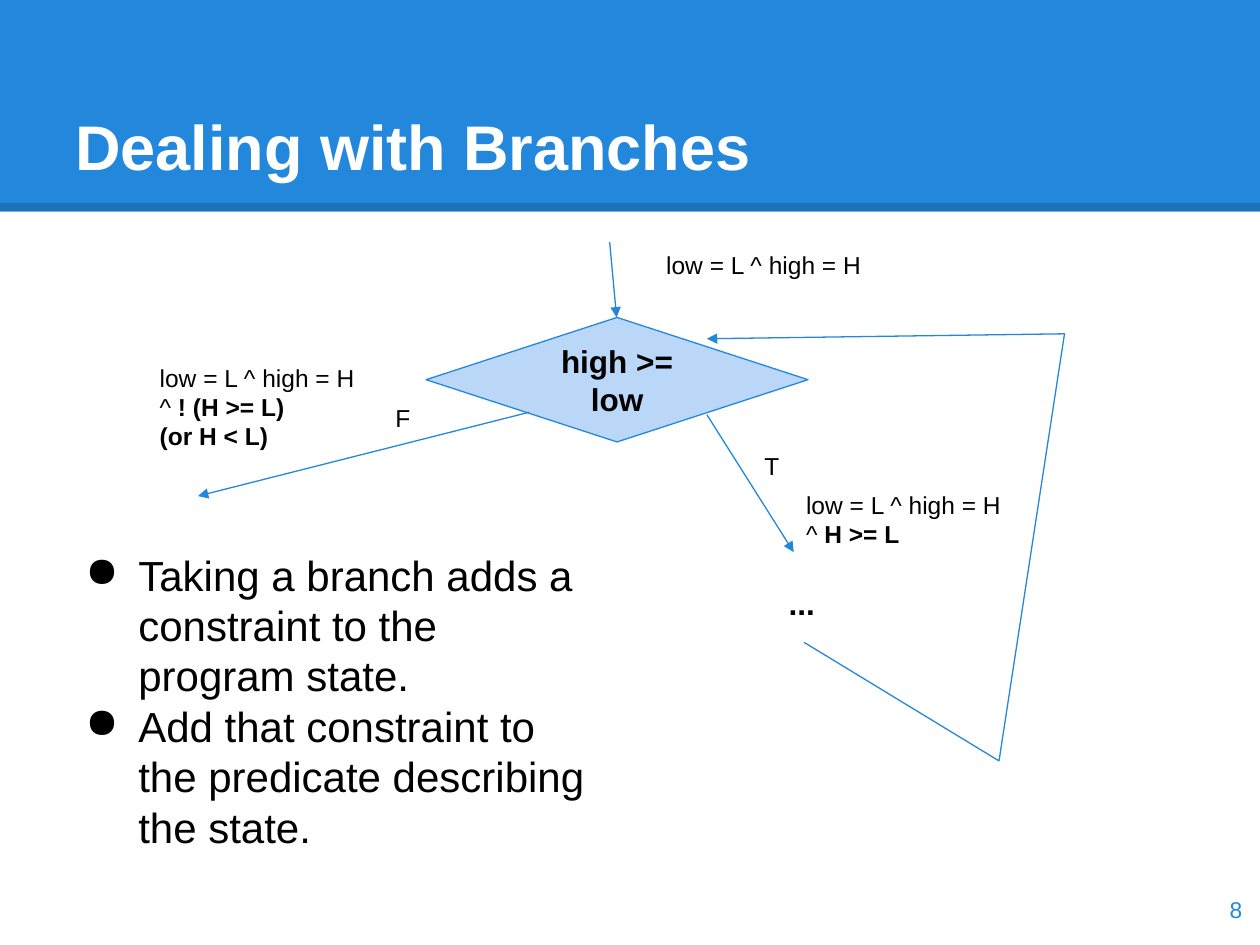
"""Build the slide on how branches add constraints to the program state."""
from lxml.etree import SubElement
from pptx import Presentation
from pptx.dml.color import RGBColor
from pptx.enum.shapes import MSO_CONNECTOR, MSO_SHAPE
from pptx.enum.text import MSO_ANCHOR, PP_ALIGN
from pptx.oxml.ns import qn
from pptx.util import Cm, Pt

COLORS = {"blue": "2388DB", "pale": "BBD7F8", "black": "000000", "white": "FFFFFF"}
FONT = "Arial"
INSET = 0.25
LINE_WIDTH = 0.75

STATE = "low = L ^ high = H"
BAND = (0, 0, 25.4, 4.27)
BAND_EDGE = ((0, 4.17), (25.4, 4.17))
DECISION = (8.59, 6.4, 7.7, 2.51)
ARROWS = [
    ((12.29, 4.88), (12.43, 6.4)),
    ((14.25, 8.36), (16, 11.13)),
    ((10.67, 8.31), (3.99, 10)),
]
LOOP = [(16.21, 12.95), (20.14, 15.34), (21.46, 6.73), (14.25, 6.83)]

TEXTS = [
    {"box": (1.27, 0.76, 22.86, 3.18), "size": 36, "bold": True, "color": "white",
     "anchor": MSO_ANCHOR.BOTTOM, "paras": [["Dealing with Branches"]]},
    {"box": (15.16, 8.84, 2.06, 0.76), "paras": [["T"]]},
    {"box": (15.65, 11.53, 3.05, 1.19), "size": 18, "bold": True, "paras": [["..."]]},
    {"box": (7.72, 7.87, 0.86, 0.76), "paras": [["F"]]},
    {"box": (1.27, 10.82, 10.8, 5.11), "size": 24, "bullet": "●", "paras": [
        ["Taking a branch adds a constraint to the program state."],
        ["Add that constraint to the predicate describing the state."]]},
    {"box": (13.18, 4.8, 5, 1.19), "paras": [[STATE]]},
    {"box": (16, 9.63, 5, 1.19), "paras": [[STATE], ["^ ", ("H >= L", True)]]},
    {"box": (2.97, 7.06, 5, 1.19), "paras": [
        [STATE], ["^", (" ! (H >= L)", True)], [("(or H < L)", True)]]},
    {"box": (23.77, 17.6, 1.52, 1.45), "size": 13, "color": "blue",
     "anchor": MSO_ANCHOR.MIDDLE, "align": PP_ALIGN.RIGHT, "paras": [["8"]]},
]


def rgb(name):
    return RGBColor.from_string(COLORS[name])


def cm(values):
    return [Cm(v) for v in values]


def add_bullet(p, char):
    pPr = p._p.get_or_add_pPr()
    pPr.set("marL", str(Cm(1.27)))
    pPr.set("indent", str(Cm(-1.07)))
    color = SubElement(pPr, qn("a:buClr"))
    SubElement(color, qn("a:srgbClr"), val=COLORS["black"])
    SubElement(pPr, qn("a:buChar"), char=char)


def write(tf, paras, size=14, bold=False, color="black", align=PP_ALIGN.LEFT,
          anchor=MSO_ANCHOR.TOP, bullet=None):
    frame = {"word_wrap": True, "vertical_anchor": anchor}
    frame.update({f"margin_{side}": Cm(INSET) for side in ("left", "top", "right", "bottom")})
    for key, value in frame.items():
        setattr(tf, key, value)
    for i, parts in enumerate(paras):
        p = tf.add_paragraph() if i else tf.paragraphs[0]
        p.alignment = align
        if bullet:
            add_bullet(p, bullet)
        for part in parts:
            text, strong = part if isinstance(part, tuple) else (part, bold)
            r = p.add_run()
            r.text = text
            for key, value in {"name": FONT, "size": Pt(size), "bold": strong}.items():
                setattr(r.font, key, value)
            r.font.color.rgb = rgb(color)


def style_line(sp, color="blue", width=LINE_WIDTH, arrow=False):
    sp.line.color.rgb = rgb(color)
    sp.line.width = Pt(width)
    if arrow:
        SubElement(sp.line._get_or_add_ln(), qn("a:tailEnd"), type="triangle")


def add_line(s, start, end, **style):
    sp = s.shapes.add_connector(MSO_CONNECTOR.STRAIGHT, *cm(start + end))
    style_line(sp, **style)
    SubElement(sp._element.spPr, qn("a:effectLst"))
    return sp


def add_filled(s, kind, box, fill):
    sp = s.shapes.add_shape(kind, *cm(box))
    sp.shadow.inherit = False
    sp.fill.solid()
    sp.fill.fore_color.rgb = rgb(fill)
    return sp


def add_loop(s, points):
    start, *rest = [tuple(cm(point)) for point in points]
    builder = s.shapes.build_freeform(*start)
    builder.add_line_segments(rest, close=False)
    sp = builder.convert_to_shape()
    sp.shadow.inherit = False
    sp.fill.background()
    style_line(sp, arrow=True)


def main():
    prs = Presentation()
    prs.slide_width, prs.slide_height = cm((25.4, 19.05))
    s = prs.slides.add_slide(prs.slide_layouts[6])

    add_filled(s, MSO_SHAPE.RECTANGLE, BAND, "blue").line.fill.background()
    edge = add_line(s, *BAND_EDGE, color="black", width=4.5)
    tint = edge._element.spPr.find(".//" + qn("a:srgbClr"))
    SubElement(tint, qn("a:alpha"), val="15000")

    decision = add_filled(s, MSO_SHAPE.DIAMOND, DECISION, "pale")
    style_line(decision)
    write(decision.text_frame, [["high >= low"]], size=18, bold=True,
          align=PP_ALIGN.CENTER, anchor=MSO_ANCHOR.MIDDLE)

    for start, end in ARROWS:
        add_line(s, start, end, arrow=True)
    add_loop(s, LOOP)

    for item in TEXTS:
        style = {key: value for key, value in item.items() if key != "box"}
        write(s.shapes.add_textbox(*cm(item["box"])).text_frame, **style)

    prs.save("out.pptx")


if __name__ == "__main__":
    main()
